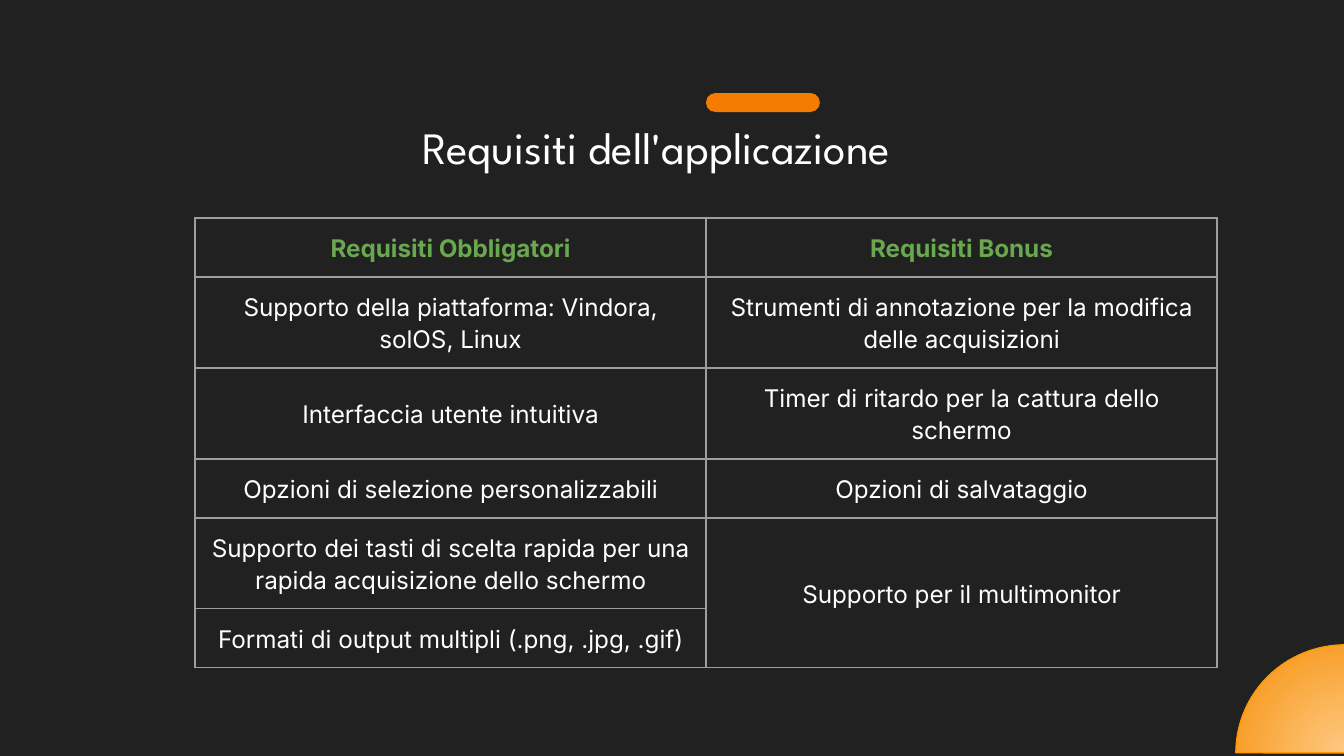
from dataclasses import dataclass
from typing import Any

from lxml.etree import SubElement
from pptx import Presentation
from pptx.dml.color import RGBColor
from pptx.enum.shapes import MSO_SHAPE
from pptx.enum.text import MSO_ANCHOR, PP_ALIGN
from pptx.oxml.ns import qn
from pptx.util import Emu, Pt

EMU_PER_PX = 914400 / 134.4
COLORS = {
    "background": "212121",
    "text": "FFFFFF",
    "heading": "6AA84F",
    "border": "9E9E9E",
    "accent": "F47C00",
    "sun_center": "FFC982",
    "sun_edge": "F58F09",
    "sun_line": "FF9900",
}


@dataclass(frozen=True)
class Box:
    left: int
    top: int
    width: int
    height: int

    def emu(self) -> tuple[Emu, ...]:
        return tuple(px(n) for n in (self.left, self.top, self.width, self.height))


@dataclass(frozen=True)
class Row:
    height: int
    required: str
    bonus: str = ""


SUN = Box(1236, 645, 218, 216)
ACCENT_BAR = Box(706, 93, 114, 19)
TITLE = Box(409, 99, 573, 95)
TABLE = Box(195, 218, 1022, 450)
ONE_LINE, TWO_LINES = 59, 91
ROWS = [
    Row(ONE_LINE, "Requisiti Obbligatori", "Requisiti Bonus"),
    Row(TWO_LINES, "Supporto della piattaforma: Vindora, solOS, Linux",
        "Strumenti di annotazione per la modifica delle acquisizioni"),
    Row(TWO_LINES, "Interfaccia utente intuitiva",
        "Timer di ritardo per la cattura dello schermo"),
    Row(ONE_LINE, "Opzioni di selezione personalizzabili", "Opzioni di salvataggio"),
    Row(TWO_LINES,
        "Supporto dei tasti di scelta rapida per una rapida acquisizione dello schermo",
        "Supporto per il multimonitor"),
    Row(ONE_LINE, "Formati di output multipli (.png, .jpg, .gif)"),
]


def px(length: int) -> Emu:
    return Emu(round(length * EMU_PER_PX))


def color(name: str) -> RGBColor:
    return RGBColor.from_string(COLORS[name])


def style_font(font: Any, name: str, size: int, color_name: str, bold: bool = False) -> None:
    font.name = name
    font.size = Pt(size)
    font.bold = bold
    font.color.rgb = color(color_name)


def add_sun(slide: Any) -> None:
    shape = slide.shapes.add_shape(MSO_SHAPE.PIE, *SUN.emu())
    shape.shadow.inherit = False
    shape.adjustments[0] = 108.04
    shape.adjustments[1] = 162
    shape.line.color.rgb = color("sun_line")
    shape.line.width = Pt(0.75)
    shape.fill.gradient()
    for stop, position, name in zip(
        shape.fill.gradient_stops, (0, 1), ("sun_center", "sun_edge")
    ):
        stop.position = position
        stop.color.rgb = color(name)
    # Radial gradient from the middle of the circle
    gradient = shape.element.spPr.find(qn("a:gradFill"))
    gradient.remove(gradient.find(qn("a:lin")))
    radial = SubElement(gradient, qn("a:path"), {"path": "circle"})
    SubElement(radial, qn("a:fillToRect"), dict.fromkeys("ltrb", "50000"))


def add_accent_bar(slide: Any) -> None:
    shape = slide.shapes.add_shape(MSO_SHAPE.ROUNDED_RECTANGLE, *ACCENT_BAR.emu())
    shape.shadow.inherit = False
    shape.adjustments[0] = 0.5
    shape.fill.solid()
    shape.fill.fore_color.rgb = color("accent")
    shape.line.fill.background()


def add_title(slide: Any, text: str) -> None:
    frame = slide.shapes.add_textbox(*TITLE.emu()).text_frame
    frame.word_wrap = True
    frame.vertical_anchor = MSO_ANCHOR.MIDDLE
    frame.margin_left = frame.margin_right = px(13)
    frame.margin_top = frame.margin_bottom = px(13)
    paragraph = frame.paragraphs[0]
    paragraph.text = text
    style_font(paragraph.font, "League Spartan", 24, "text")


def add_borders(cell: Any) -> None:
    properties = cell._tc.get_or_add_tcPr()
    for side in ("lnL", "lnR", "lnT", "lnB"):
        line = SubElement(properties, qn(f"a:{side}"), {"w": str(Pt(0.75))})
        fill = SubElement(line, qn("a:solidFill"))
        SubElement(fill, qn("a:srgbClr"), {"val": COLORS["border"]})


def fill_cell(cell: Any, text: str, is_heading: bool) -> None:
    add_borders(cell)
    cell.fill.background()
    cell.vertical_anchor = MSO_ANCHOR.MIDDLE
    if not text:
        return
    paragraph = cell.text_frame.paragraphs[0]
    paragraph.text = text
    paragraph.alignment = PP_ALIGN.CENTER
    paragraph.line_spacing = 1.1
    paragraph.space_after = Pt(12)
    style_font(paragraph.font, "Inter", 13, "heading" if is_heading else "text", is_heading)


def add_requirements(slide: Any) -> None:
    table = slide.shapes.add_table(len(ROWS), 2, *TABLE.emu()).table
    table.first_row = table.horz_banding = False
    for column in table.columns:
        column.width = px(TABLE.width // 2)
    for index, row in enumerate(ROWS):
        table.rows[index].height = px(row.height)
        for column_index, text in enumerate((row.required, row.bonus)):
            fill_cell(table.cell(index, column_index), text, index == 0)
    # The last bonus item spans two rows
    table.cell(4, 1).merge(table.cell(5, 1))


def main() -> None:
    presentation = Presentation()
    presentation.slide_width = px(1344)
    presentation.slide_height = px(756)
    slide = presentation.slides.add_slide(presentation.slide_layouts[6])
    slide.background.fill.solid()
    slide.background.fill.fore_color.rgb = color("background")

    # Decoration
    add_sun(slide)
    add_accent_bar(slide)

    # Content
    add_title(slide, "Requisiti dell'applicazione")
    add_requirements(slide)

    presentation.save("out.pptx")


if __name__ == "__main__":
    main()
